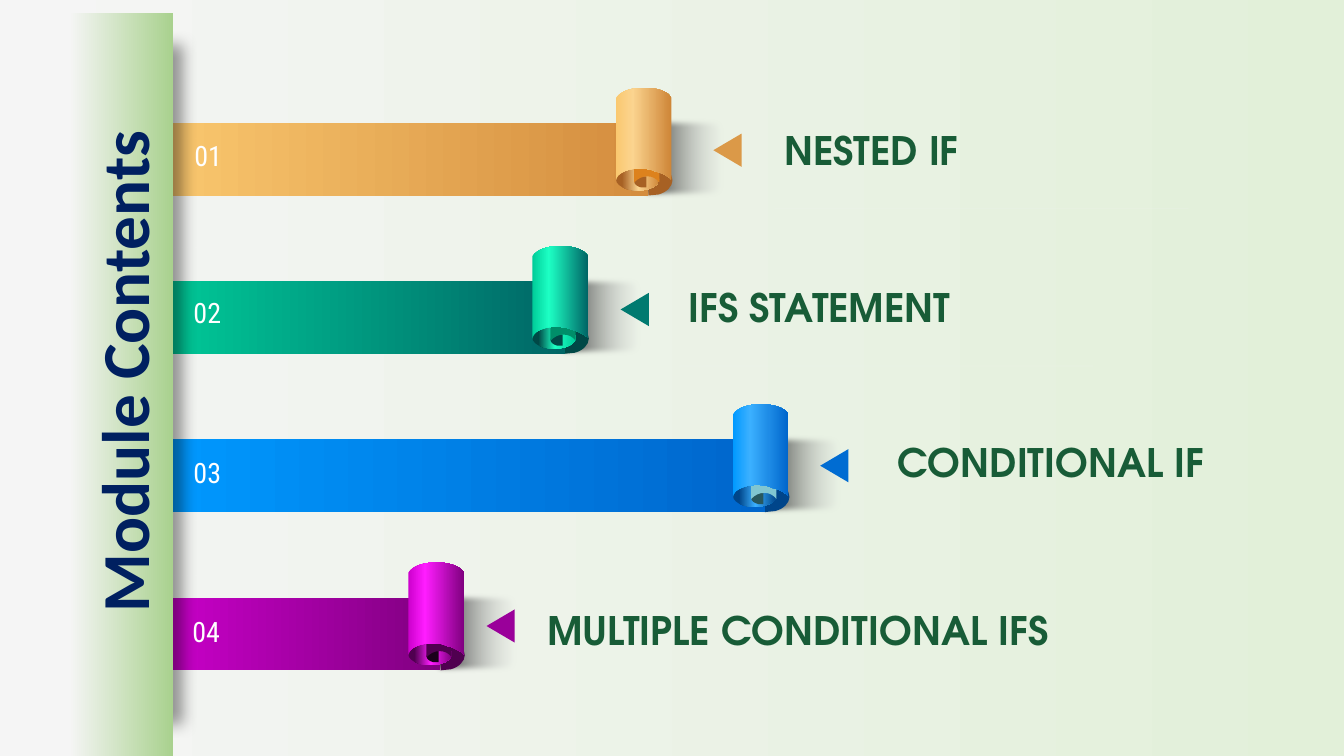
"""Build the Module Contents slide: four scroll ribbons beside a vertical title."""
from lxml import etree
from pptx import Presentation
from pptx.dml.color import RGBColor
from pptx.enum.shapes import MSO_CONNECTOR, MSO_SHAPE
from pptx.enum.text import MSO_ANCHOR, MSO_AUTO_SIZE, PP_ALIGN
from pptx.oxml.ns import qn
from pptx.util import Inches, Pt

RECTANGLE, OVAL, TRIANGLE = MSO_SHAPE.RECTANGLE, MSO_SHAPE.OVAL, MSO_SHAPE.ISOSCELES_TRIANGLE
STRAIGHT = MSO_CONNECTOR.STRAIGHT
MIDDLE, TOP = MSO_ANCHOR.MIDDLE, MSO_ANCHOR.TOP
CENTER, LEFT = PP_ALIGN.CENTER, PP_ALIGN.LEFT
NO_AUTOFIT = MSO_AUTO_SIZE.NONE

COLORS = {
    "paper": "F5F5F5", "mint": "E2F0D9", "leaf": "A9D18E", "spine": "F4F4F4",
    "black": "000000", "haze": "E9EBEA", "rule": "F2F2F2",
    "navy": "002060", "green": "185C37", "white": "FFFFFF",
}
TITLE = "Module Contents"
TITLE_FORMAT = {"name": "Calibri", "size": Pt(48), "bold": True}
NUMBER_FORMAT = {"name": "Roboto Condensed", "size": Pt(20), "bold": False}
LABEL_FORMAT = {"name": "TeX Gyre Adventor", "size": Pt(28), "bold": True}

RIBBONS = [
    {"number": "01", "number_at": (1.83, 1.33), "roll_left": 6.11,
     "label": "NESTED IF", "label_box": (7.68, 1.2, 5.3, 0.57), "rule_top": 2.07,
     "arrow_at": (7.05, 1.35), "arrow": "DB9948",
     "strip": ("FAC86F", "D48D3E"), "roll": ("FAC86F", "FBD48F", "CE8537"),
     "mouth": ("A76124", "FBD48F", "CE8537"),
     "flap": "A76124", "curl": "A76124", "core": "DD821D"},
    {"number": "02", "number_at": (1.82, 2.88), "roll_left": 5.28,
     "label": "IFS STATEMENT", "label_box": (6.73, 2.76, 5.68, 0.57), "rule_top": 3.63,
     "arrow_at": (6.13, 2.93), "arrow": "007A70",
     "strip": ("00CC99", "006666"), "roll": ("00CC99", "1DFFC4", "006666"),
     "mouth": ("004846", "1DFFC4", "00CC99"),
     "flap": "004846", "curl": "004846", "core": "008E69"},
    {"number": "03", "number_at": (1.82, 4.47), "roll_left": 7.27,
     "label": "CONDITIONAL IF", "label_box": (8.8, 4.3, 4.18, 0.57), "rule_top": None,
     "arrow_at": (8.11, 4.48), "arrow": "006CD2",
     "strip": ("0099FF", "0066CC"), "roll": ("0099FF", "3BB0FF", "0066CC"),
     "mouth": ("00458A", "3BB0FF", "00458A"),
     "flap": "00458A", "curl": "28585E", "core": "81C6D1"},
    {"number": "04", "number_at": (1.81, 6.05), "roll_left": 4.05,
     "label": "MULTIPLE CONDITIONAL IFS", "label_box": (5.33, 5.97, 7.49, 0.57),
     "rule_top": None, "arrow_at": (4.8, 6.07), "arrow": "9A009A",
     "strip": ("CC00CC", "800080"), "roll": ("CC00CC", "FF1DFF", "800080"),
     "mouth": ("500050", "FF1DFF", "800080"),
     "flap": "500050", "curl": "1A001A", "core": "500050"},
]
FIRST_TOP, ROW_STEP, STRIP_LEFT, RULE_WIDTH = 0.87, 1.57, 1.51, 4.11

FLAP = [(0.56, 0.92), (0.56, 0.98, 0.5, 1.04, 0.42, 1.06), (0.32, 1.07), (0.32, 0.76),
        (0.42, 0.77), (0.5, 0.8, 0.56, 0.85, 0.56, 0.92)]
CURL = [(0.18, 0.93), (0.18, 0.96, 0.21, 0.98, 0.25, 0.99), (0.3, 0.99), (0.3, 0.88),
        (0.25, 0.88), (0.21, 0.89, 0.18, 0.91, 0.18, 0.93)]
CORE = [(0.18, 0.51), (0.22, 0.44, 0.39, 0.44, 0.43, 0.51), (0.43, 0.94),
        (0.4, 0.9, 0.36, 0.88, 0.31, 0.88), (0.26, 0.88, 0.22, 0.9, 0.18, 0.94)]
ROLL = [(0.28, 0), (0.39, 0, 0.51, 0.03, 0.55, 0.1), (0.55, 0.91),
        (0.52, 0.88, 0.48, 0.86, 0.43, 0.84), (0.39, 0.83), (0.34, 0.81),
        (0.31, 0.81, 0.28, 0.8, 0.24, 0.8), (0.13, 0.8, 0.03, 0.84, 0.01, 0.89),
        (0, 0.92), (0, 0.1), (0.05, 0.03, 0.16, 0, 0.28, 0)]


def add_color(parent, color, opacity=100):
    node = etree.SubElement(parent, qn("a:srgbClr"), val=color)
    if opacity < 100:
        etree.SubElement(node, qn("a:alpha"), val=str(opacity * 1000))


def set_gradient(fill, element, stops):
    fill.gradient()
    fill.gradient_angle = 0
    stop_list = next(element.iter(qn("a:gsLst")))
    for old_stop in list(stop_list):
        stop_list.remove(old_stop)
    for position, *color in stops:
        stop = etree.SubElement(stop_list, qn("a:gs"), pos=str(position * 1000))
        add_color(stop, *color)


def paint(shape, fill):
    shape.shadow.inherit = False
    shape.line.fill.background()
    if isinstance(fill, str):
        shape.fill.solid()
        shape.fill.fore_color.rgb = RGBColor.from_string(fill)
    else:
        set_gradient(shape.fill, shape._element, fill)
    return shape


def add_preset(shapes, kind, box, fill):
    return paint(shapes.add_shape(kind, *map(Inches, box)), fill)


def add_effect(shape, name, **values):
    effects = shape._element.spPr.find(qn("a:effectLst"))
    return etree.SubElement(effects, qn(name), {key: str(int(v)) for key, v in values.items()})


def bend(shape, outline):
    """Turn the three line points of each six-number segment into one Bezier curve."""
    lines = iter(list(shape._element.iter(qn("a:lnTo"))))
    for segment in outline[1:]:
        first = next(lines)
        if len(segment) == 6:
            curve = etree.Element(qn("a:cubicBezTo"))
            first.addprevious(curve)
            for line in (first, next(lines), next(lines)):
                curve.append(line[0])
                line.getparent().remove(line)


def add_outline(shapes, outline, left, top, fill):
    points = [(Inches(left + x), Inches(top + y)) for segment in outline
              for x, y in zip(segment[::2], segment[1::2])]
    builder = shapes.build_freeform(*points[0])
    builder.add_line_segments(points[1:])
    shape = paint(builder.convert_to_shape(), fill)
    bend(shape, outline)


def write(shape, text, color, font_format, alignment=LEFT, anchor=TOP):
    frame = shape.text_frame
    for key, value in {"word_wrap": True, "auto_size": NO_AUTOFIT,
                       "vertical_anchor": anchor}.items():
        setattr(frame, key, value)
    paragraph = frame.paragraphs[0]
    paragraph.alignment = alignment
    run = paragraph.add_run()
    run.text = text
    for key, value in font_format.items():
        setattr(run.font, key, value)
    run.font.color.rgb = RGBColor.from_string(COLORS[color])


def add_text(shapes, box, *text_format):
    write(shapes.add_textbox(*map(Inches, box)), *text_format)


def add_scroll(slide, ribbon, top):
    left = ribbon["roll_left"]
    shapes = slide.shapes.add_group_shape().shapes
    shade = add_preset(shapes, RECTANGLE, (left + 0.21, top + 0.27, 0.93, 0.86),
                       [(0, COLORS["black"]), (100, COLORS["haze"], 0)])
    add_effect(shade, "a:softEdge", rad=Pt(5))
    add_outline(shapes, FLAP, left, top, ribbon["flap"])
    add_preset(shapes, RECTANGLE, (STRIP_LEFT, top + 0.35, left + 0.32 - STRIP_LEFT, 0.72),
               list(zip((0, 100), ribbon["strip"])))
    add_preset(shapes, OVAL, (left, top + 0.8, 0.43, 0.22),
               list(zip((14, 52, 100), ribbon["mouth"])))
    add_outline(shapes, CURL, left, top, ribbon["curl"])
    add_outline(shapes, CORE, left, top, ribbon["core"])
    add_outline(shapes, ROLL, left, top, list(zip((0, 30, 100), ribbon["roll"])))


def add_rule(slide, left, top):
    rule = slide.shapes.add_connector(
        STRAIGHT, *map(Inches, (left, top, left + RULE_WIDTH, top)))
    rule.line.width = Pt(0.5)
    rule.line.color.rgb = RGBColor.from_string(COLORS["rule"])
    color = next(rule._element.spPr.iter(qn("a:srgbClr")))
    etree.SubElement(color, qn("a:alpha"), val="30000")
    etree.SubElement(rule._element.spPr, qn("a:effectLst"))


def main():
    presentation = Presentation()
    presentation.slide_width, presentation.slide_height = Inches(13.33), Inches(7.5)
    slide = presentation.slides.add_slide(presentation.slide_layouts[5])
    set_gradient(slide.background.fill, slide._element,
                 [(0, COLORS["paper"]), (100, COLORS["mint"])])
    for row, ribbon in enumerate(RIBBONS):
        add_scroll(slide, ribbon, FIRST_TOP + row * ROW_STEP)

    spine = add_preset(slide.shapes, RECTANGLE, (1.16, 0.45, 0.55, 6.72), COLORS["spine"])
    shadow = add_effect(spine, "a:outerShdw", blurRad=Pt(11), dist=Pt(7), dir=0)
    add_color(shadow, COLORS["black"], 40)
    add_preset(slide.shapes, RECTANGLE, (0.68, 0.13, 1.04, 7.37),
               [(0, COLORS["paper"]), (100, COLORS["leaf"])])

    for ribbon in RIBBONS:
        add_text(slide.shapes, (*ribbon["number_at"], 0.55, 0.44),
                 ribbon["number"], "white", NUMBER_FORMAT)
        arrow = add_preset(slide.shapes, TRIANGLE, (*ribbon["arrow_at"], 0.33, 0.28),
                           ribbon["arrow"])
        arrow.rotation = 270
        add_text(slide.shapes, ribbon["label_box"], ribbon["label"], "green", LABEL_FORMAT)
        if ribbon["rule_top"]:
            add_rule(slide, ribbon["label_box"][0], ribbon["rule_top"])

    title = slide.shapes.title
    title.left, title.top, title.width, title.height = map(Inches, (-2.47, 3.23, 7.37, 0.91))
    title.rotation = 270
    write(title, TITLE, "navy", TITLE_FORMAT, CENTER, MIDDLE)
    slide.shapes._spTree.append(title._element)
    presentation.save("out.pptx")


if __name__ == "__main__":
    main()
